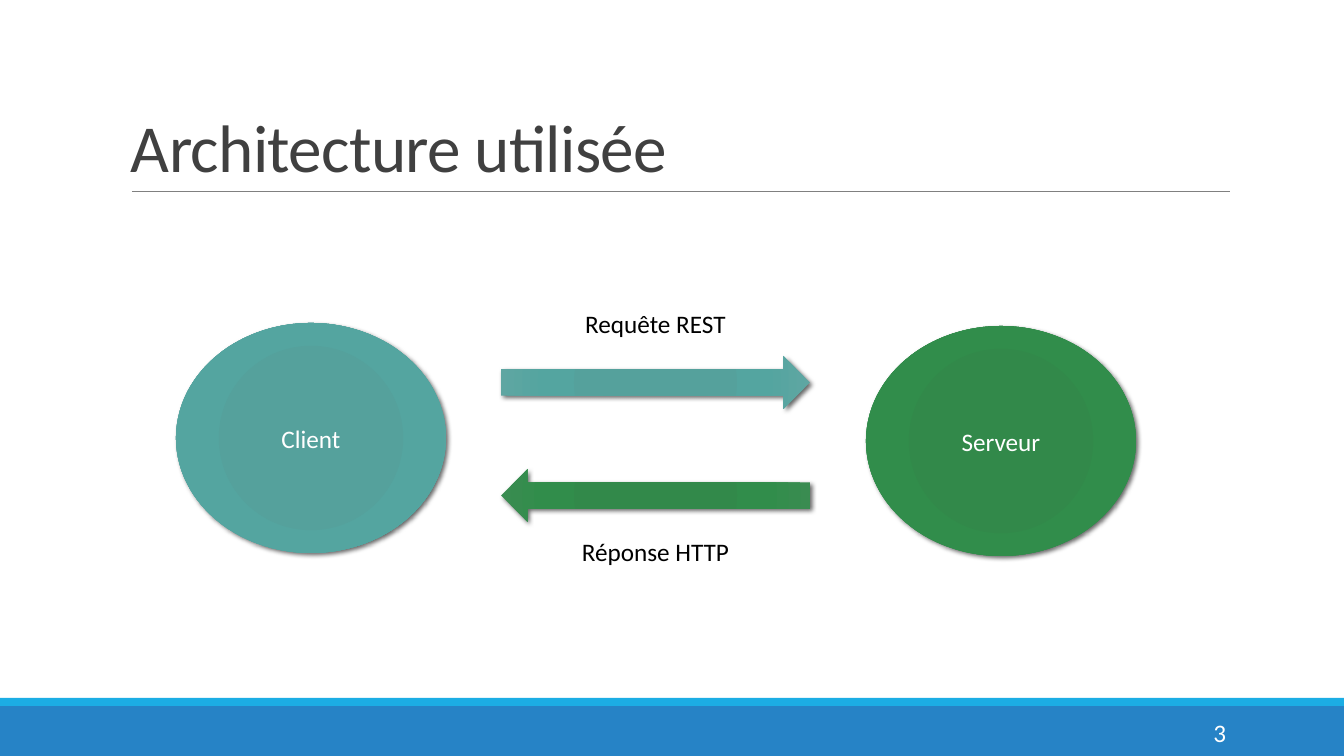
from lxml import etree
from pptx import Presentation
from pptx.dml.color import RGBColor
from pptx.enum.shapes import MSO_CONNECTOR, MSO_SHAPE
from pptx.enum.text import MSO_ANCHOR, PP_ALIGN
from pptx.oxml import parse_xml
from pptx.util import Emu, Pt

RECT, OVAL, ARROW = MSO_SHAPE.RECTANGLE, MSO_SHAPE.OVAL, MSO_SHAPE.RIGHT_ARROW
LINE = MSO_CONNECTOR.STRAIGHT
TOP, MIDDLE, BOTTOM = MSO_ANCHOR.TOP, MSO_ANCHOR.MIDDLE, MSO_ANCHOR.BOTTOM
LEFT, CENTER, RIGHT = PP_ALIGN.LEFT, PP_ALIGN.CENTER, PP_ALIGN.RIGHT
NS = "http://schemas.openxmlformats.org/drawingml/2006/main"

TITLE = "Architecture utilisée"
NUMBER = "3"
STOPS = (0, 34, 70, 100)
TEAL = ("52A19C", "55A19C", "54A5A0", "5FA6A2")
GREEN = ("2F8949", "32894A", "318D4B", "3A8C51")
BARS = [(706, 50, "2683C6"), (698, 8, "1CADE4")]
NODES = [("Client", 176, 323, TEAL), ("Serveur", 866, 326, GREEN)]
FLOWS = [("Requête REST", 303, 356, 0, TEAL), ("Réponse HTTP", 531, 469, 180, GREEN)]

WIDE, HIGH = 1344, 756
NODE_W, NODE_H = 270, 230
FLOW_X, FLOW_W, FLOW_H = 501, 309, 53
LABEL_H = 40


def px(n):
    return Emu(round(n * 914400 / 100.8))


def color(code):
    return RGBColor.from_string(code)


def write(shape, text, size=18, ink="000000", align=CENTER, anchor=MIDDLE, lead=None, track=None):
    frame = shape.text_frame
    frame.word_wrap = True
    frame.vertical_anchor = anchor
    para = frame.paragraphs[0]
    para.alignment = align
    if lead:
        para.line_spacing = lead
    run = para.add_run()
    run.text = text
    run.font.name = "Calibri"
    run.font.size = Pt(size)
    run.font.color.rgb = color(ink)
    if track:
        run.font._element.set("spc", str(track))


def label(box, text, **style):
    write(slide.shapes.add_textbox(*map(px, box)), text, **style)


def block(kind, box):
    shape = slide.shapes.add_shape(kind, *map(px, box))
    shape.line.fill.background()
    shape.shadow.inherit = False
    return shape


def shade(shape, tones):
    stops = "".join(
        f'<a:gs pos="{pos * 1000}"><a:srgbClr val="{tone}"/></a:gs>'
        for pos, tone in zip(STOPS, tones)
    )
    props = shape._element.spPr
    props.insert(2, parse_xml(
        f'<a:gradFill xmlns:a="{NS}" rotWithShape="1"><a:gsLst>{stops}</a:gsLst>'
        '<a:path path="circle"><a:fillToRect l="100000" t="100000" r="100000" b="100000"/>'
        '</a:path></a:gradFill>'
    ))
    props.find(f"{{{NS}}}effectLst").append(parse_xml(
        f'<a:outerShdw xmlns:a="{NS}" blurRad="{Pt(3.5)}" dist="{Pt(2)}" dir="2700000" '
        'algn="ctr" rotWithShape="0"><a:srgbClr val="000000"><a:alpha val="60000"/>'
        '</a:srgbClr></a:outerShdw>'
    ))


deck = Presentation()
deck.slide_width, deck.slide_height = px(WIDE), px(HIGH)
slide = deck.slides.add_slide(deck.slide_layouts[6])

for y, high, tone in BARS:
    bar = block(RECT, (0, y, WIDE, high))
    bar.fill.solid()
    bar.fill.fore_color.rgb = color(tone)

rule = slide.shapes.add_connector(LINE, px(132), px(191), px(1230), px(191))
rule.line.color.rgb = color("808080")
rule.line.width = Pt(0.5)
etree.SubElement(rule._element.spPr, f"{{{NS}}}effectLst")

for name, x, y, tones in NODES:
    node = block(OVAL, (x, y, NODE_W, NODE_H))
    shade(node, tones)
    write(node, name, ink="FFFFFF")

for name, text_y, y, turn, tones in FLOWS:
    arrow = block(ARROW, (FLOW_X, y, FLOW_W, FLOW_H))
    arrow.rotation = turn
    shade(arrow, tones)
    label((FLOW_X, text_y, FLOW_W, LABEL_H), name, anchor=TOP)

label((121, 31, 1109, 160), TITLE, size=48, ink="404040", align=LEFT, anchor=BOTTOM,
      lead=0.85, track=-50)
label((1092, 712, 144, LABEL_H), NUMBER, ink="FFFFFF", align=RIGHT)

deck.save("out.pptx")
